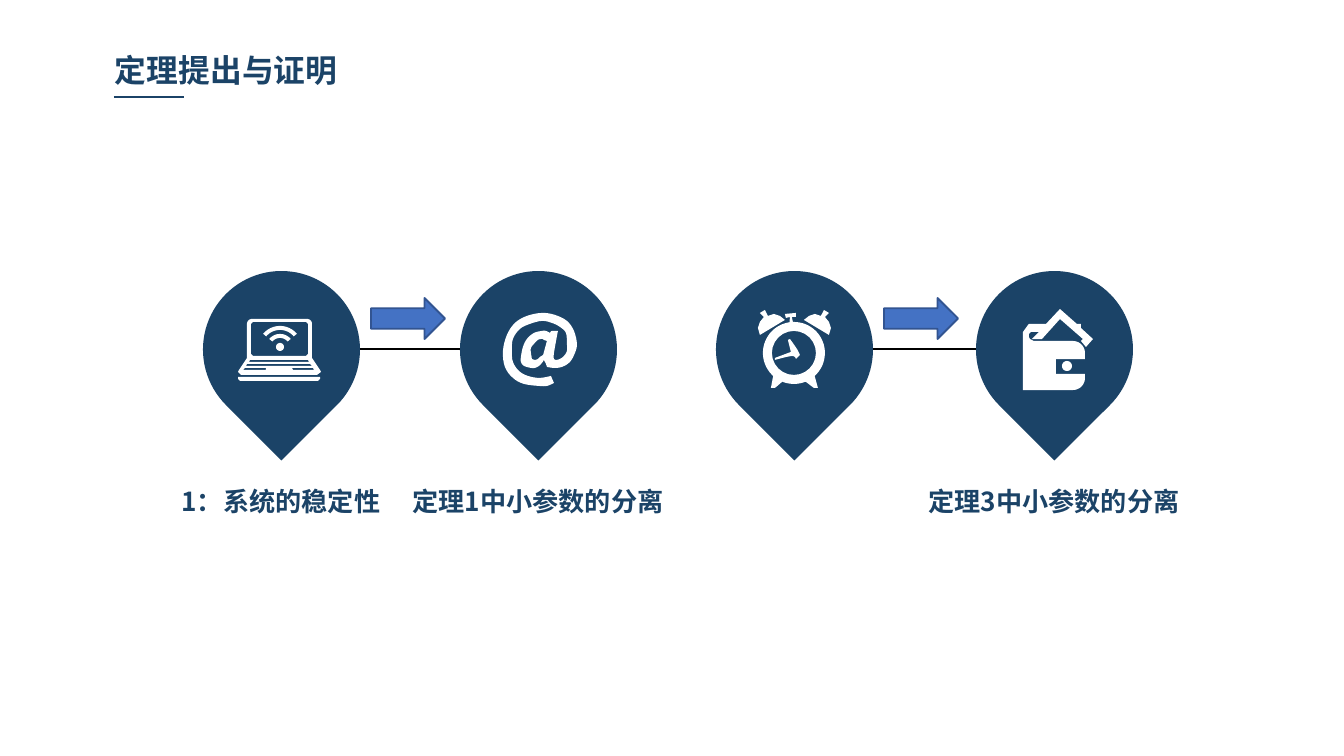
from dataclasses import dataclass
from math import cos, radians, sin

from lxml.etree import SubElement
from pptx import Presentation
from pptx.dml.color import RGBColor
from pptx.enum.shapes import MSO_CONNECTOR as Connector, MSO_SHAPE as Preset
from pptx.enum.text import PP_ALIGN as Align
from pptx.oxml.ns import qn
from pptx.slide import Slide
from pptx.util import Emu, Pt

Point = tuple[float, float]
Contour = list[Point]

EMU_PER_PX = 914400 / 134.4
SLIDE_WIDTH, SLIDE_HEIGHT = 1344, 756
PIN_TOP, PIN_SIZE = 271, 157
CAPTION_TOP, CAPTION_HEIGHT = 480, 42


@dataclass(frozen=True)
class Theme:
    navy: RGBColor = RGBColor(0x1B, 0x43, 0x67)
    blue: RGBColor = RGBColor(0x44, 0x72, 0xC4)
    blue_edge: RGBColor = RGBColor(0x32, 0x54, 0x91)
    black: RGBColor = RGBColor(0, 0, 0)
    white: RGBColor = RGBColor(255, 255, 255)
    font: str = "Noto Sans CJK SC"
    title_size: int = 17
    caption_size: int = 14


@dataclass(frozen=True)
class Pin:
    left: int
    icon: list[Contour]
    caption: str = ""
    caption_width: int = 0

    @property
    def right(self) -> int:
        return self.left + PIN_SIZE


THEME = Theme()


def px(length: float) -> Emu:
    return Emu(round(length * EMU_PER_PX))


def arc(x: float, y: float, radius: float, start: int, end: int) -> Contour:
    """Points along an arc; angles run clockwise from the right, in degrees."""
    steps = 24
    angles = [radians(start + (end - start) * i / steps) for i in range(steps + 1)]
    return [(x + radius * cos(a), y + radius * sin(a)) for a in angles]


def band(x: int, y: int, outer: int, inner: int) -> Contour:
    """A thick upward arc, as in a wireless signal."""
    return arc(x, y, outer, 220, 320) + arc(x, y, inner, 320, 220)


def smooth(points: Contour) -> Contour:
    """Closed Catmull-Rom curve that keeps sharp corners sharp."""
    count, steps = len(points), 4

    def tangent(i: int) -> Point:
        (ax, ay), (bx, by), (cx, cy) = (points[(i + k) % count] for k in (-1, 0, 1))
        ux, uy, vx, vy = bx - ax, by - ay, cx - bx, cy - by
        turn = (ux * vx + uy * vy) / ((ux * ux + uy * uy) * (vx * vx + vy * vy)) ** 0.5
        return ((cx - ax) / 2, (cy - ay) / 2) if turn > 0.6 else (0, 0)

    curve = []
    for i, start in enumerate(points):
        end, leave, arrive = points[(i + 1) % count], tangent(i), tangent(i + 1)
        for t in (step / steps for step in range(steps)):
            weights = (2*t**3 - 3*t**2 + 1, t**3 - 2*t**2 + t, 3*t**2 - 2*t**3, t**3 - t**2)
            curve.append(tuple(
                sum(w * v[axis] for w, v in zip(weights, (start, leave, end, arrive)))
                for axis in (0, 1)))
    return curve


# Icon points are px from the top left corner of the pin.
LAPTOP = [
    [(117, 99), (109, 87), *arc(104, 53, 5, 0, -90), *arc(49, 53, 5, -90, -180),
     (44, 87), (36, 99), (35, 101), (38, 104), (114, 104), (118, 101)],
    [(50, 51), (103, 51), (105, 53), (105, 83), (103, 85), (50, 85), (48, 83), (48, 53)],
    [(35, 106), (117, 106), (117, 108), (115, 110), (37, 110), (35, 108)],
    [(47, 89), (105, 89), (106, 91), (46, 91)],
    [(44, 93), (107, 93), (109, 95), (43, 95)],
    [(42, 97), (63, 97), (63, 99), (40, 99)],
    [(89, 97), (110, 97), (111, 99), (90, 99)],
    arc(77, 76, 4, 0, 360),
    band(77, 77, 22, 18),
    band(77, 77, 14, 10),
]
AT_SIGN = [
    smooth([
        (92, 60), (98, 60), (94, 82), (94, 88), (96, 89), (100, 88), (104, 85), (107, 80),
        (107, 73), (106, 62), (100, 56), (92, 52), (82, 50), (70, 53), (60, 58), (53, 68),
        (52, 80), (53, 91), (59, 100), (68, 105), (80, 107), (91, 105), (94, 112), (87, 115),
        (79, 115), (64, 113), (53, 107), (45, 96), (43, 80), (47, 64), (55, 52), (67, 45),
        (82, 42), (95, 44), (107, 50), (114, 60), (117, 73), (115, 82), (110, 91), (102, 96),
        (94, 97), (87, 96), (86, 93), (84, 89), (82, 92), (79, 95), (75, 97), (71, 97),
        (64, 95), (61, 91), (61, 86), (63, 76), (67, 68), (74, 62), (82, 60), (86, 60),
        (90, 62)]),
    smooth([
        (87, 70), (84, 69), (82, 68), (78, 69), (74, 73), (71, 77), (71, 82), (72, 88),
        (75, 89), (78, 88), (80, 86), (83, 84), (84, 81)]),
]
BELL = [(88, 49), (93, 45), (99, 43), (105, 45), (108, 39), (113, 42), (109, 46),
        (113, 51), (115, 57), (113, 64)]
CLOCK = [
    [*arc(78, 82, 31, 132, 262), (74, 46), (70, 47), (69, 43), (80, 42), (80, 46), (76, 46),
     *arc(78, 82, 31, 268, 408), (102, 117), (98, 117), *arc(78, 82, 31, 68, 112),
     (59, 117), (55, 117)],
    arc(78, 82, 22, 0, 360),
    BELL,
    [(PIN_SIZE - x, y) for x, y in BELL],
    smooth([(75, 81), (59, 87), (59, 89), (76, 85), (80, 88), (84, 84), (81, 78),
            (74, 68), (72, 69)]),
]
WALLET = [
    [(58, 70), *arc(97, 82, 12, -90, 0), (109, 88), (80, 88), (80, 103), (109, 103),
     *arc(97, 107, 12, 0, 90), (47, 119), (47, 61), (52, 54), (53, 53), (70, 53), (84, 38),
     (101, 53), (105, 53), (105, 57), (117, 68), (110, 76), (105, 70), (107, 68), (84, 48),
     (66, 68), (56, 68), (63, 61), (55, 61), (53, 63), (53, 66), (54, 68)],
    arc(91, 95, 5, 0, 360),
]

PINS = [
    Pin(203, LAPTOP, "1：系统的稳定性", 222),
    Pin(460, AT_SIGN, "定理1中小参数的分离", 274),
    Pin(716, CLOCK),
    Pin(976, WALLET, "定理3中小参数的分离", 274),
]


def add_text(slide: Slide, text: str, left: int, top: int, width: int, height: int,
             size: int, align: Align) -> None:
    frame = slide.shapes.add_textbox(px(left), px(top), px(width), px(height)).text_frame
    frame.word_wrap = True
    frame.margin_left = frame.margin_right = px(10)
    frame.margin_top = frame.margin_bottom = px(5)
    frame.text = text
    paragraph = frame.paragraphs[0]
    paragraph.alignment = align
    font = paragraph.runs[0].font
    font.size, font.bold, font.name = Pt(size), True, THEME.font
    font.color.rgb = THEME.navy
    SubElement(paragraph.runs[0]._r.rPr, qn("a:ea"), typeface=THEME.font)


def add_line(slide: Slide, start: int, end: int, y: int, color: RGBColor, width: float) -> None:
    line = slide.shapes.add_connector(Connector.STRAIGHT, px(start), px(y), px(end), px(y))
    line.line.color.rgb, line.line.width = color, Pt(width)
    SubElement(line._element.spPr, qn("a:effectLst"))


def add_preset(slide: Slide, preset: Preset, left: int, top: int, width: int, height: int,
               fill: RGBColor, edge: RGBColor | None = None, rotation: int = 0) -> None:
    shape = slide.shapes.add_shape(preset, px(left), px(top), px(width), px(height))
    shape.rotation, shape.shadow.inherit = rotation, False
    shape.fill.solid()
    shape.fill.fore_color.rgb = fill
    if edge is None:
        shape.line.fill.background()
    else:
        shape.line.color.rgb, shape.line.width = edge, Pt(1)


def add_icon(slide: Slide, pin: Pin) -> None:
    contours = [[(px(pin.left + x), px(PIN_TOP + y)) for x, y in contour]
                for contour in pin.icon]
    builder = slide.shapes.build_freeform(*contours[0][0])
    builder.add_line_segments(contours[0][1:])
    for contour in contours[1:]:
        builder.move_to(*contour[0])
        builder.add_line_segments(contour[1:])
    icon = builder.convert_to_shape()
    icon.shadow.inherit = False
    icon.fill.solid()
    icon.fill.fore_color.rgb = THEME.white
    icon.line.fill.background()


def add_pin(slide: Slide, pin: Pin) -> None:
    add_preset(slide, Preset.TEAR, pin.left, PIN_TOP, PIN_SIZE, PIN_SIZE, THEME.navy,
               rotation=135)
    add_icon(slide, pin)
    if pin.caption:
        left = pin.left + (PIN_SIZE - pin.caption_width) // 2
        add_text(slide, pin.caption, left, CAPTION_TOP, pin.caption_width, CAPTION_HEIGHT,
                 THEME.caption_size, Align.CENTER)


def add_link(slide: Slide, first: Pin, second: Pin) -> None:
    """Join two pins with a line and a block arrow above it."""
    add_preset(slide, Preset.RIGHT_ARROW, first.right + 11, 298, 74, 41,
               THEME.blue, THEME.blue_edge)
    add_line(slide, first.right, second.left, 349, THEME.black, 1.5)


def main() -> None:
    presentation = Presentation()
    presentation.slide_width, presentation.slide_height = px(SLIDE_WIDTH), px(SLIDE_HEIGHT)
    slide = presentation.slides.add_slide(presentation.slide_layouts[6])
    for pin in PINS:
        add_pin(slide, pin)
    add_text(slide, "定理提出与证明", 105, 46, 290, 48, THEME.title_size, Align.LEFT)
    for first, second in zip(PINS[::2], PINS[1::2]):
        add_link(slide, first, second)
    add_line(slide, 114, 184, 97, THEME.navy, 0.75)
    presentation.save("out.pptx")


if __name__ == "__main__":
    main()
